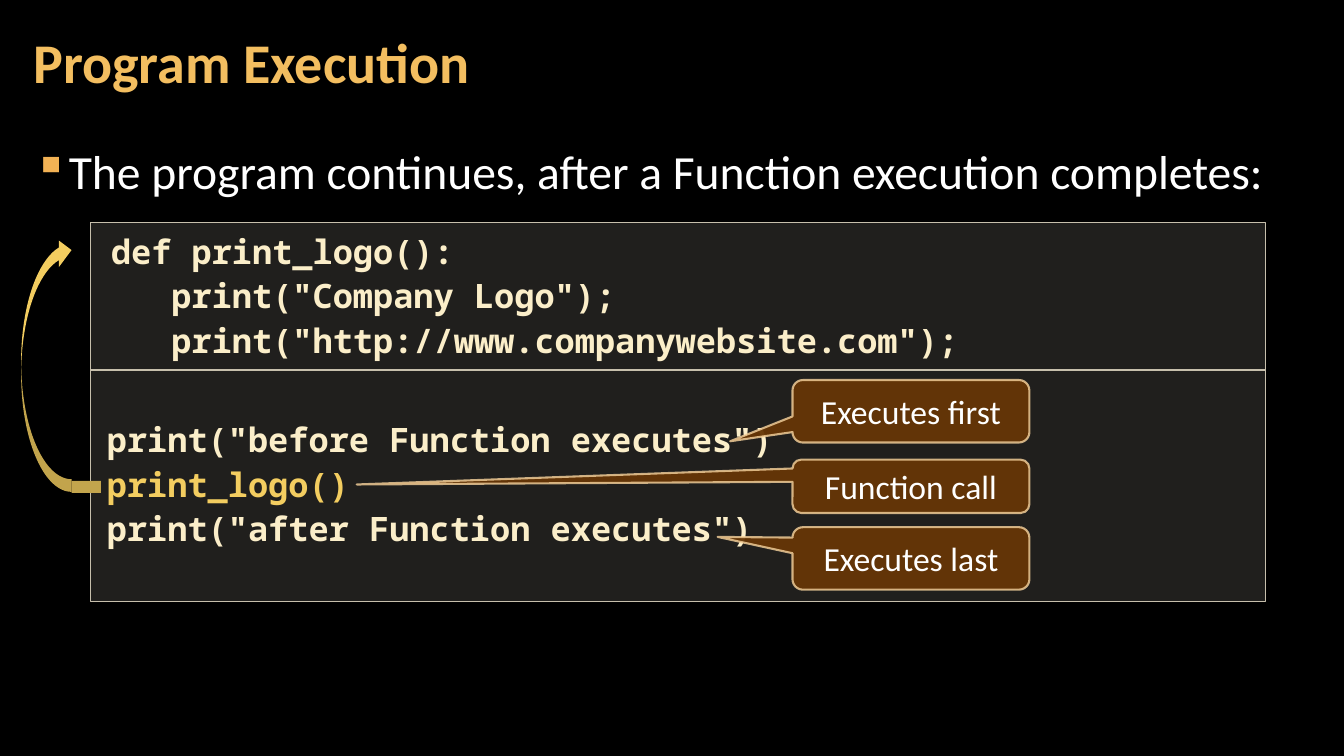
from lxml import etree
from pptx import Presentation
from pptx import util as u
from pptx.dml.color import RGBColor
from pptx.enum import shapes, text
from pptx.oxml.ns import qn

WIDTH, HEIGHT = 13.33, 7.5

TITLE = "Program Execution"
STATEMENT = "The program continues, after a Function execution completes:"
DEFINITION = [
    ("def print_logo():", "code"),
    ('   print("Company Logo");', "code"),
    ('   print("http://www.companywebsite.com");', "code"),
]
CALLS = [
    ('print("before Function executes")', "code"),
    ("print_logo()", "highlight"),
    ('print("after Function executes")', "code"),
]
# label, top, height, pointer tip relative to the callout's centre
CALLOUTS = [
    ("Executes first", 3.77, 0.62, (-0.763, 0.48)),
    ("Function call", 4.56, 0.53, (-2.339, -0.034)),
    ("Executes last", 5.23, 0.62, (-0.816, -0.344)),
]

THEME = {
    "colors": {
        "background": "000000", "title": "F3BE60", "bullet": "F2B254",
        "white": "FFFFFF", "code": "FBEEC9", "highlight": "F3CD60",
        "panel": "D9D5C7", "panel_line": "C7BFAC",
        "callout": "663606", "callout_line": "F8D49E", "arrow_tail": "C3A54D",
    },
    "title": {"name": "Calibri", "size": u.Pt(40), "bold": True},
    "statement": {"name": "Calibri", "size": u.Pt(34), "bold": False},
    "code": {"name": "Noto Sans Mono", "size": u.Pt(24), "bold": True},
    "callout": {"name": "Calibri", "size": u.Pt(24), "bold": False},
}

MARGIN = 0.21
PANEL_LEFT, PANEL_TOP, PANEL_WIDTH = 0.9, 2.21, 11.65
# lines, height, (left, top, right, bottom) insets
PANELS = [
    (DEFINITION, 1.46, (0.2, 0.04, 0.2, 0.08)),
    (CALLS, 2.3, (0.16, 0.45, 0.16, 0.04)),
]
CALLOUT_LEFT, CALLOUT_WIDTH = 7.86, 2.35
TEXT_INSETS = (0.12, 0.04, 0.12, 0.04)


def color(name):
    return RGBColor.from_string(THEME["colors"][name])


def box(left, top, width, height):
    return [u.Inches(value) for value in (left, top, width, height)]


def paint(target, color_name, alpha=100):
    """Fill a shape or line solidly, with an opacity in percent."""
    target.solid()
    target.fore_color.rgb = color(color_name)
    if alpha < 100:
        element = target._xPr.find(qn("a:solidFill"))[0]
        etree.SubElement(element, qn("a:alpha"), val=str(alpha * 1000))


def add_shape(parent, kind, place, fill, alpha=100, line=None, line_width=1, line_alpha=100):
    shape = parent.add_shape(kind, *box(*place))
    shape.shadow.inherit = False
    paint(shape.fill, fill, alpha)
    if line:
        paint(shape.line.fill, line, line_alpha)
        shape.line.width = u.Pt(line_width)
    else:
        shape.line.fill.background()
    return shape


def set_frame(shape, insets, anchor):
    frame = shape.text_frame
    frame.word_wrap = True
    frame.vertical_anchor = anchor
    for side, inset in zip(("left", "top", "right", "bottom"), insets):
        setattr(frame, f"margin_{side}", u.Inches(inset))
    return frame


def write(paragraph, words, style, color_name, **paragraph_format):
    for name, value in paragraph_format.items():
        setattr(paragraph, name, value)
    run = paragraph.add_run()
    run.text = words
    for name, value in THEME[style].items():
        setattr(run.font, name, value)
    run.font.color.rgb = color(color_name)


def add_bullet(paragraph, character, indent):
    properties = paragraph._p.get_or_add_pPr()
    properties.set("marL", str(u.Inches(indent)))
    properties.set("indent", str(-u.Inches(indent)))
    bullet_color = etree.SubElement(properties, qn("a:buClr"))
    etree.SubElement(bullet_color, qn("a:srgbClr"), val=THEME["colors"]["bullet"])
    etree.SubElement(properties, qn("a:buChar"), char=character)


def add_heading(slide):
    title = slide.shapes.title
    title.left, title.top, title.width, title.height = box(MARGIN, 0.04, 10.47, 1.21)
    frame = set_frame(title, TEXT_INSETS, text.MSO_ANCHOR.MIDDLE)
    write(frame.paragraphs[0], TITLE, "title", "title",
          alignment=text.PP_ALIGN.LEFT, line_spacing=0.9)

    statement = slide.shapes.add_textbox(*box(MARGIN, 1.26, WIDTH - 2 * MARGIN, 6.09))
    frame = set_frame(statement, (0.12, 0.12, 0.12, 0.04), text.MSO_ANCHOR.TOP)
    paragraph = frame.paragraphs[0]
    paragraph.line_spacing = 1.05
    paragraph.space_after = u.Pt(6)
    add_bullet(paragraph, "▪", 0.33)
    write(paragraph, STATEMENT, "statement", "white")


def add_code_panels(slide):
    top = PANEL_TOP
    for lines, height, insets in PANELS:
        panel = add_shape(slide.shapes, shapes.MSO_SHAPE.RECTANGLE,
                          (PANEL_LEFT, top, PANEL_WIDTH, height),
                          "panel", alpha=15, line="panel_line")
        frame = set_frame(panel, insets, text.MSO_ANCHOR.TOP)
        for index, (words, color_name) in enumerate(lines):
            paragraph = frame.add_paragraph() if index else frame.paragraphs[0]
            write(paragraph, words, "code", color_name,
                  alignment=text.PP_ALIGN.LEFT, line_spacing=1.1)
        top += height


def add_callouts(slide):
    for label, top, height, tip in CALLOUTS:
        callout = add_shape(slide.shapes, shapes.MSO_SHAPE.ROUNDED_RECTANGULAR_CALLOUT,
                            (CALLOUT_LEFT, top, CALLOUT_WIDTH, height), "callout", alpha=95,
                            line="callout_line", line_width=1.5, line_alpha=80)
        for index, value in enumerate((*tip, 0.167)):
            callout.adjustments[index] = value
        frame = set_frame(callout, (0.1, 0.05, 0.1, 0.05), text.MSO_ANCHOR.MIDDLE)
        write(frame.paragraphs[0], label, "callout", "white",
              alignment=text.PP_ALIGN.CENTER)


def add_call_arrow(slide):
    """Lead from the function call back up to its definition."""
    group = slide.shapes.add_group_shape()
    arrow = add_shape(group.shapes, shapes.MSO_SHAPE.CURVED_RIGHT_ARROW,
                      (MARGIN, 2.35, 0.5, 2.53), "highlight")
    for index, value in enumerate((0.25, 0.525, 0.25)):
        arrow.adjustments[index] = value
    arrow._element.spPr.find(qn("a:xfrm")).set("flipV", "1")
    add_shape(group.shapes, shapes.MSO_SHAPE.RECTANGLE,
              (MARGIN + 0.5, 4.77, 0.29, 0.12), "arrow_tail")


def main():
    presentation = Presentation()
    presentation.slide_width = u.Inches(WIDTH)
    presentation.slide_height = u.Inches(HEIGHT)
    slide = presentation.slides.add_slide(presentation.slide_layouts.get_by_name("Title Only"))
    background = slide.background.fill
    background.solid()
    background.fore_color.rgb = color("background")
    add_code_panels(slide)
    add_heading(slide)
    add_callouts(slide)
    add_call_arrow(slide)
    presentation.save("out.pptx")


if __name__ == "__main__":
    main()
